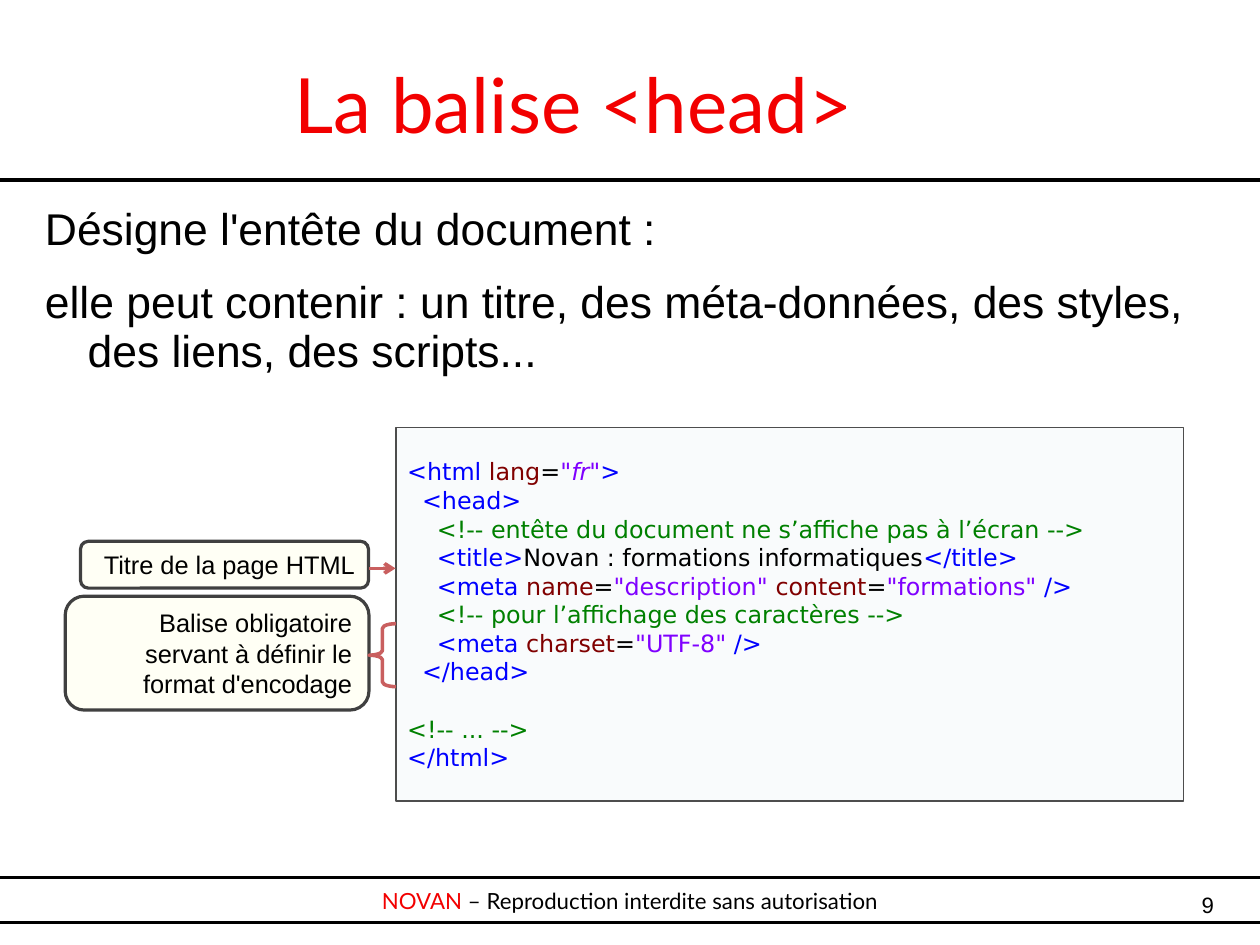
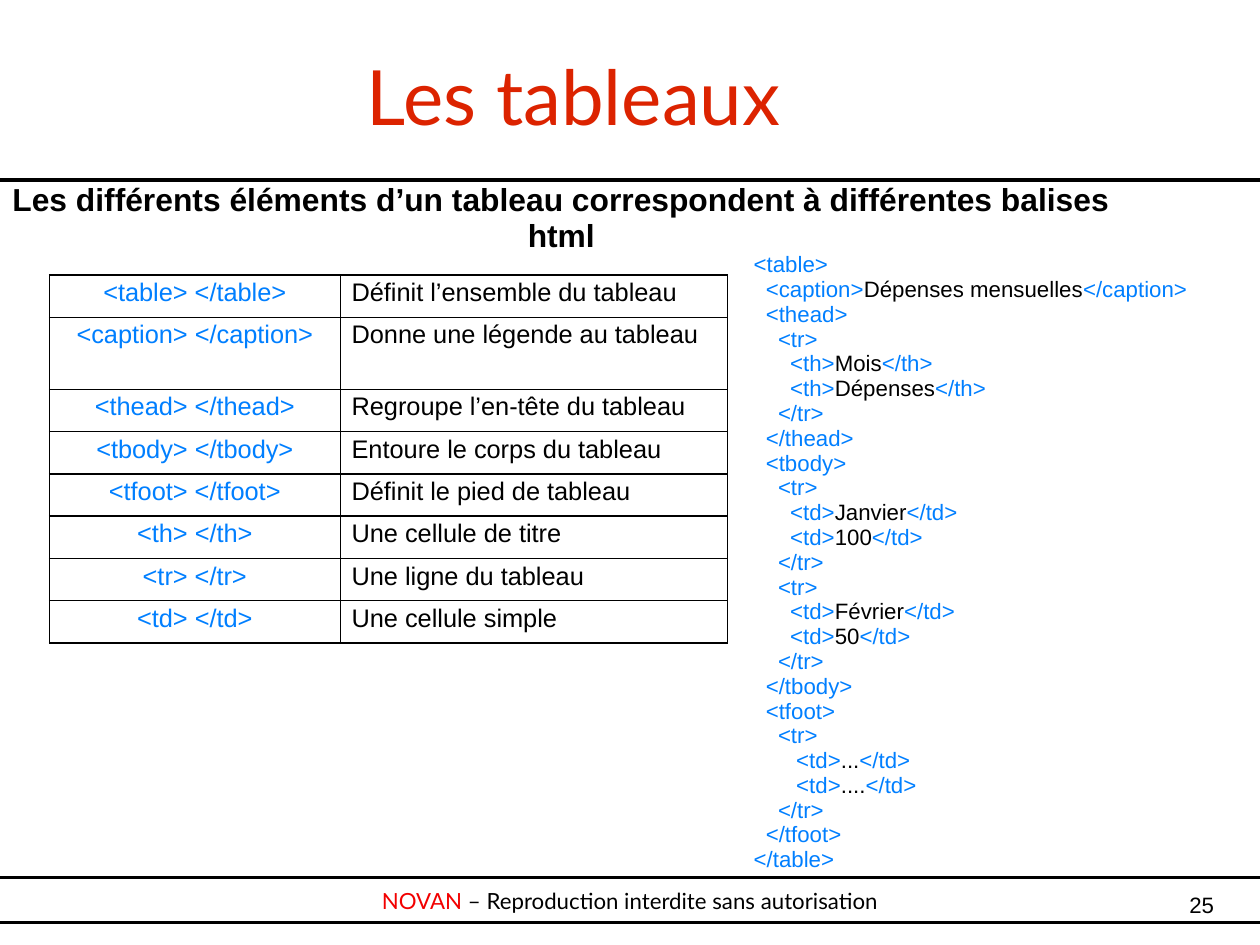
from lxml.etree import SubElement
from pptx import Presentation
from pptx.dml.color import RGBColor
from pptx.enum.shapes import MSO_CONNECTOR, MSO_SHAPE
from pptx.enum.text import MSO_ANCHOR, PP_ALIGN
from pptx.oxml.ns import qn
from pptx.util import Cm, Pt

WIDTH, HEIGHT = 28, 21
BLACK, RED, TITLE_RED = "000000", "F20000", "DC2300"
TAG, ATTR, VALUE, COMMENT = "0000FF", "800000", "7F00FF", "008000"
SKY, CORAL, FRAME, NOTE_LINE = "007FFF", "C95F5F", "4D4D4D", "404040"
COMPANY = "NOVAN"

BODY = {"line_spacing": 0.93, "space_after": Pt(14.4)}
TIGHT = {"line_spacing": 0.93}
CENTRED = {"alignment": PP_ALIGN.CENTER}
RIGHT = {"alignment": PP_ALIGN.RIGHT}

# Each line of code: indent level, then (text, colour) runs
HEAD_CODE = [
    (0, [("<html ", TAG), ("lang", ATTR), ("=", BLACK), ('"', VALUE),
         ("fr", VALUE, {"italic": True}), ('"', VALUE), (">", TAG)]),
    (1, [("<head>", TAG)]),
    (2, [("<!-- entête du document ne s’affiche pas à l’écran -->", COMMENT)]),
    (2, [("<title>", TAG), ("Novan : formations informatiques", BLACK),
         ("</title>", TAG)]),
    (2, [("<meta ", TAG), ("name", ATTR), ("=", BLACK),
         ('"description" ', VALUE), ("content", ATTR), ("=", BLACK),
         ('"formations"', VALUE), (" />", TAG)]),
    (2, [("<!-- pour l’affichage des caractères -->", COMMENT)]),
    (2, [("<meta ", TAG), ("charset", ATTR), ("=", BLACK),
         ('"UTF-8" ', VALUE), ("/>", TAG)]),
    (1, [("</head>", TAG)]),
    (0, [("<!-- ... -->", COMMENT)]),
    (0, [("</html>", TAG)]),
]
AFTER_HEAD = 8

TABLE_CODE = [
    (0, "<table>"),
    (1, "<caption>Dépenses mensuelles</caption>"),
    (1, "<thead>"),
    (2, "<tr>"),
    (3, "<th>Mois</th>"),
    (3, "<th>Dépenses</th>"),
    (2, "</tr>"),
    (1, "</thead>"),
    (1, "<tbody>"),
    (2, "<tr>"),
    (3, "<td>Janvier</td>"),
    (3, "<td>100</td>"),
    (2, "</tr>"),
    (2, "<tr>"),
    (3, "<td>Février</td>"),
    (3, "<td>50</td>"),
    (2, "</tr>"),
    (1, "</tbody>"),
    (1, "<tfoot>"),
    (2, "<tr>"),
    (3.5, "<td>...</td>"),
    (3.5, "<td>....</td>"),
    (2, "</tr>"),
    (1, "</tfoot>"),
    (0, "</table>"),
]

TABLE_TAGS = [
    ("table", "Définit l’ensemble du tableau"),
    ("caption", "Donne une légende au tableau"),
    ("thead", "Regroupe l’en-tête du tableau"),
    ("tbody", "Entoure le corps du tableau"),
    ("tfoot", "Définit le pied de tableau"),
    ("th", "Une cellule de titre"),
    ("tr", "Une ligne du tableau"),
    ("td", "Une cellule simple"),
]


def rgb(value):
    """Turn a hex string into a colour."""
    return RGBColor.from_string(value)


def apply(target, values):
    """Set every attribute named in a dict."""
    for name, value in values.items():
        setattr(target, name, value)


def write(tf, paragraphs, size, font="Arial", fmt=None):
    """Fill a text frame; a paragraph is a list of (text, colour[, font dict])."""
    for i, runs in enumerate(paragraphs):
        p = tf.add_paragraph() if i else tf.paragraphs[0]
        apply(p, fmt or {})
        for text, colour, *extra in runs:
            r = p.add_run()
            r.text = text
            apply(r.font, {"name": font, "size": Pt(size)})
            r.font.color.rgb = rgb(colour)
            for values in extra:
                apply(r.font, values)


def indent(p, left, first=0):
    """Set the left margin and first-line indent of a paragraph in cm."""
    pPr = p._p.get_or_add_pPr()
    pPr.set("marL", str(Cm(left)))
    pPr.set("indent", str(Cm(first)))


def text_box(s, x, y, w, h, margins=(0, 0), **frame):
    """Add a wrapping text box and return its text frame."""
    tf = s.shapes.add_textbox(Cm(x), Cm(y), Cm(w), Cm(h)).text_frame
    side, top = (Cm(m) for m in margins)
    apply(tf, {"word_wrap": True, "margin_left": side, "margin_right": side,
               "margin_top": top, "margin_bottom": top, **frame})
    return tf


def line(s, x1, y1, x2, y2, colour, width, arrow=False):
    """Add a straight line, with an arrowhead at its end on request."""
    c = s.shapes.add_connector(MSO_CONNECTOR.STRAIGHT, Cm(x1), Cm(y1), Cm(x2), Cm(y2))
    c.line.color.rgb = rgb(colour)
    c.line.width = Pt(width)
    if arrow:
        SubElement(c.line._get_or_add_ln(), qn("a:tailEnd"), type="arrow")
    SubElement(c._element.spPr, qn("a:effectLst"))


def shape(s, kind, x, y, w, h, colour, width, fill=None):
    """Add an outlined preset shape, with a 15 % opaque fill if given."""
    sp = s.shapes.add_shape(kind, Cm(x), Cm(y), Cm(w), Cm(h))
    sp.shadow.inherit = False
    sp.line.color.rgb = rgb(colour)
    sp.line.width = Pt(width)
    if fill:
        sp.fill.solid()
        sp.fill.fore_color.rgb = rgb(fill)
        clr = sp._element.spPr.find(qn("a:solidFill")).find(qn("a:srgbClr"))
        SubElement(clr, qn("a:alpha"), val="15000")
    else:
        sp.fill.background()
    return sp


def note(s, text, x, y, w, h):
    """Add a rounded, right-aligned note."""
    sp = shape(s, MSO_SHAPE.ROUNDED_RECTANGLE, x, y, w, h, NOTE_LINE, 2, "FFFFC2")
    sp.text_frame.word_wrap = True
    sp.text_frame.vertical_anchor = MSO_ANCHOR.TOP
    write(sp.text_frame, [[(text, BLACK)]], 16, fmt=RIGHT)


def code(tf, lines, step, size, font="Arial", fmt=None):
    """Write code lines, each indented by its level times step in cm."""
    write(tf, [runs for level, runs in lines], size, font, fmt)
    for p, (level, runs) in zip(tf.paragraphs, lines):
        indent(p, level * step)


def tag_runs(markup):
    """Split markup into blue tags and black text."""
    parts = markup.replace("<", "\n<").replace(">", ">\n").split("\n")
    return [(part, SKY if part.startswith("<") else BLACK) for part in parts if part]


def border(cell, colour, width):
    """Draw the four borders of a table cell."""
    tcPr = cell._tc.get_or_add_tcPr()
    for i, side in enumerate(("lnL", "lnR", "lnT", "lnB")):
        ln = tcPr.makeelement(qn("a:" + side), {"w": str(Pt(width))})
        SubElement(SubElement(ln, qn("a:solidFill")), qn("a:srgbClr"), val=colour)
        tcPr.insert(i, ln)


def tag_table(s, x, y, widths, heights):
    """Add the table of tags and their meanings."""
    table = s.shapes.add_table(len(heights), len(widths), Cm(x), Cm(y),
                               Cm(sum(widths)), Cm(sum(heights))).table
    apply(table, {"first_row": False, "horz_banding": False})
    for column, w in zip(table.columns, widths):
        column.width = Cm(w)
    for row, h, (tag, meaning) in zip(table.rows, heights, TABLE_TAGS):
        row.height = Cm(h)
        left, right = row.cells
        write(left.text_frame, [[(f"<{tag}> </{tag}>", SKY)]], 16, fmt={**TIGHT, **CENTRED})
        write(right.text_frame, [[(meaning, BLACK)]], 16, fmt=TIGHT)
        for cell in row.cells:
            cell.fill.background()
            border(cell, BLACK, 1)


def footer(s, number):
    """Add the footer band, wider than the slide, and the page number."""
    band = shape(s, MSO_SHAPE.RECTANGLE, -0.5, 19.5, WIDTH + 1, 1, BLACK, 1.42)
    apply(band.text_frame, {"vertical_anchor": MSO_ANCHOR.MIDDLE,
                            "margin_top": Cm(0.03), "margin_bottom": Cm(0.03)})
    write(band.text_frame,
          [[(COMPANY, RED), (" – Reproduction interdite sans autorisation", BLACK)]],
          14, "Lato", {**CENTRED, "line_spacing": 1.04})
    write(text_box(s, 26, 19.86, 0.98, 1.07), [[(str(number), BLACK)]], 14,
          fmt={**TIGHT, **RIGHT})


def base_slide(prs, title, number, title_top, title_colour):
    """Add a slide with footer, title rule and title."""
    s = prs.slides.add_slide(prs.slide_layouts[6])
    footer(s, number)
    line(s, 0, 4, WIDTH, 4, BLACK, 2.83)
    tf = text_box(s, 1, title_top, 23.5, 3.5, vertical_anchor=MSO_ANCHOR.MIDDLE)
    write(tf, [[(title, title_colour)]], 48, "Lato", {**CENTRED, "line_spacing": 1.04})
    return s


def head_slide(prs):
    """Build the slide on the head tag."""
    s = base_slide(prs, "La balise <head>", 9, 0.5, RED)
    tf = text_box(s, 1, 4.5, 26, 15.24, (0, 0.08))
    write(tf, [[("Désigne l'entête du document :", BLACK)],
               [("elle peut contenir : un titre, des méta-données, des styles, "
                 "des liens, des scripts...", BLACK)]], 28, fmt=BODY)
    for p in tf.paragraphs:
        indent(p, 0.95, -0.95)

    listing = shape(s, MSO_SHAPE.RECTANGLE, 8.8, 9.5, 17.5, 8.3, FRAME, 1, "DAE6F0")
    tf = listing.text_frame
    apply(tf, {"word_wrap": True, "vertical_anchor": MSO_ANCHOR.MIDDLE})
    code(tf, HEAD_CODE, 0.33, 15, "DejaVu Sans", {"alignment": PP_ALIGN.LEFT})
    tf.paragraphs[AFTER_HEAD].space_before = Pt(18)

    note(s, "Titre de la page HTML", 1.79, 12.03, 6.4, 1.04)
    line(s, 8.2, 12.63, 8.79, 12.63, CORAL, 2.24, arrow=True)
    note(s, "Balise obligatoire servant à définir le format d'encodage",
         1.45, 13.25, 6.75, 2.53)
    brace = shape(s, MSO_SHAPE.LEFT_BRACE, 8.2, 13.86, 0.6, 1.4, CORAL, 2.24)
    brace.adjustments[0] = 0.17


def tables_slide(prs):
    """Build the slide on table tags."""
    s = base_slide(prs, "Les tableaux", 25, 0.32, TITLE_RED)
    tf = text_box(s, 0, 4, 24.95, 11.43, (0, 0.08))
    write(tf, [[("Les différents éléments d’un tableau correspondent à "
                 "différentes balises html", BLACK, {"bold": True})]],
          20, fmt={**BODY, **CENTRED})
    tf = text_box(s, 16.5, 5.49, 11.5, 14, (0.25, 0.13), word_wrap=False)
    code(tf, [(level, tag_runs(markup)) for level, markup in TABLE_CODE],
         0.27, 14, fmt=TIGHT)
    heights = [1.6 if tag == "caption" else 0.94 for tag, _ in TABLE_TAGS]
    tag_table(s, 1.1, 6.11, (6.46, 8.6), heights)


def main():
    """Build and save the presentation."""
    prs = Presentation()
    prs.slide_width, prs.slide_height = Cm(WIDTH), Cm(HEIGHT)
    head_slide(prs)
    tables_slide(prs)
    prs.save("out.pptx")


main()
